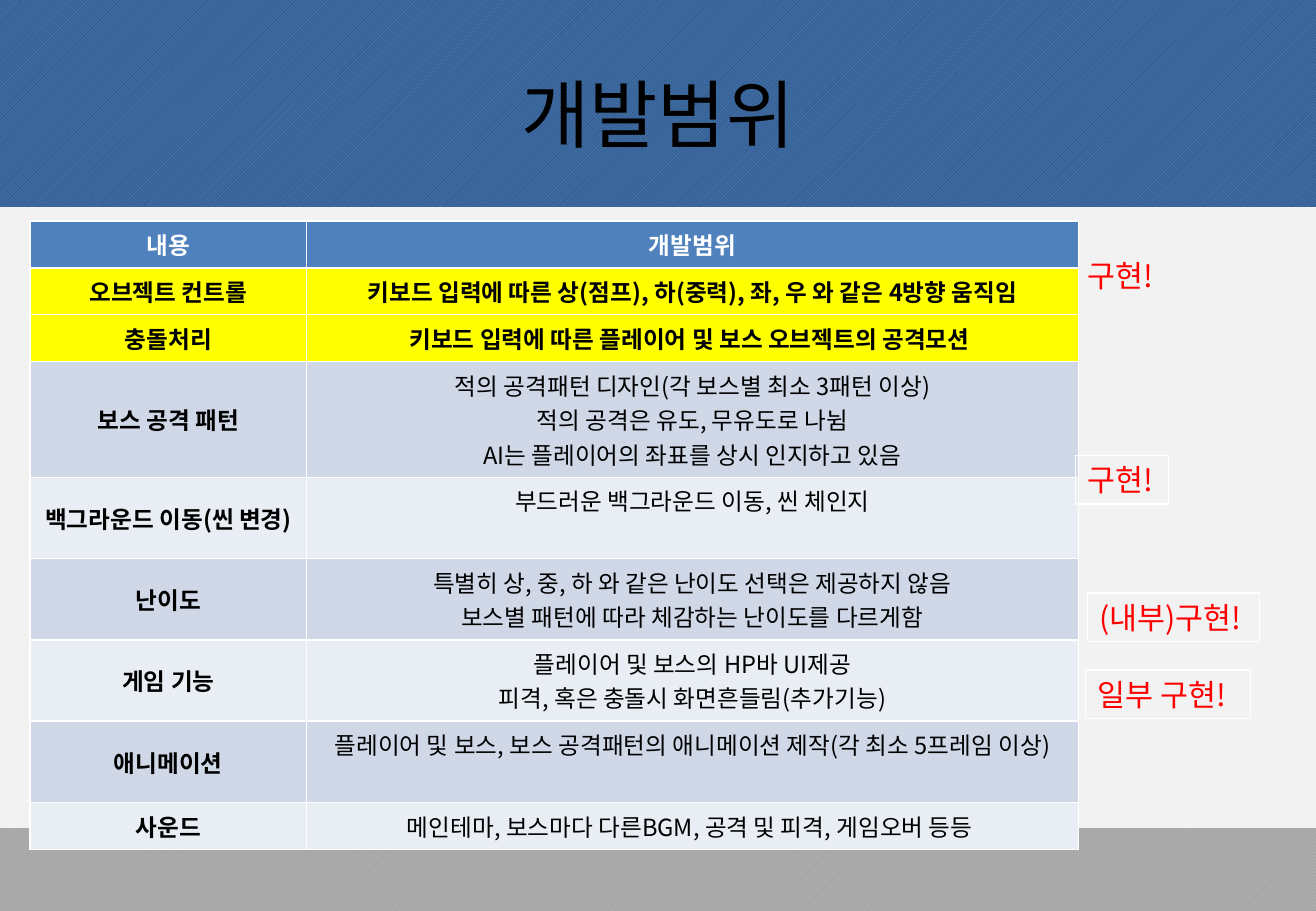
from dataclasses import dataclass

from lxml.etree import SubElement
from pptx import Presentation
from pptx.dml.color import RGBColor
from pptx.enum.dml import MSO_PATTERN
from pptx.enum.shapes import MSO_SHAPE
from pptx.enum.text import MSO_ANCHOR, PP_ALIGN
from pptx.oxml.ns import qn
from pptx.slide import Slide
from pptx.table import _Cell
from pptx.text.text import TextFrame
from pptx.util import Cm, Pt

FONT = "Noto Sans CJK KR"
BLACK = RGBColor(0x00, 0x00, 0x00)
WHITE = RGBColor(0xFF, 0xFF, 0xFF)
RED = RGBColor(0xFF, 0x00, 0x00)
YELLOW = RGBColor(0xFF, 0xFF, 0x00)
PAGE = RGBColor(0xF2, 0xF2, 0xF2)
HEADER = RGBColor(0x4F, 0x81, 0xBD)
BAND_DARK = RGBColor(0xD0, 0xD8, 0xE8)
BAND_LIGHT = RGBColor(0xE9, 0xED, 0xF4)
BLUE_STRIPE = RGBColor(0x55, 0x8E, 0xD5)
BLUE_BASE = RGBColor(0x37, 0x60, 0x92)
GREY_STRIPE = RGBColor(0xBF, 0xBF, 0xBF)
GREY_BASE = RGBColor(0xA6, 0xA6, 0xA6)
SLIDE_WIDTH, SLIDE_HEIGHT = 27.51, 19.05
ROW_PADDING, LINE_HEIGHT = 0.26, 0.72


@dataclass
class Band:
    preset: MSO_SHAPE
    top: float
    height: float
    stripe: RGBColor
    base: RGBColor


@dataclass
class ScopeRow:
    topic: str
    scope: str
    lines: int
    fill: RGBColor
    done: bool = False


@dataclass
class Note:
    text: str
    left: float
    top: float
    width: float
    outlined: bool = True


BANDS = [
    Band(MSO_SHAPE.ROUNDED_RECTANGLE, 0, 4.32, BLUE_STRIPE, BLUE_BASE),
    Band(MSO_SHAPE.RECTANGLE, 17.32, 1.73, GREY_STRIPE, GREY_BASE),
]
ROWS = [
    ScopeRow("오브젝트 컨트롤", "키보드 입력에 따른 상(점프), 하(중력), 좌, 우 와 같은 4방향 움직임", 1, YELLOW, True),
    ScopeRow("충돌처리", "키보드 입력에 따른 플레이어 및 보스 오브젝트의 공격모션 ", 1, YELLOW, True),
    ScopeRow("보스 공격 패턴", "적의 공격패턴 디자인(각 보스별 최소 3패턴 이상)\n적의 공격은 유도, 무유도로 나뉨\n"
             "AI는 플레이어의 좌표를 상시 인지하고 있음", 3, BAND_DARK),
    ScopeRow("백그라운드 이동(씬 변경)", "부드러운 백그라운드 이동, 씬 체인지", 2, BAND_LIGHT),
    ScopeRow("난이도", "특별히 상, 중, 하 와 같은 난이도 선택은 제공하지 않음\n"
             "보스별 패턴에 따라 체감하는 난이도를 다르게함", 2, BAND_DARK),
    ScopeRow("게임 기능", "플레이어 및 보스의 HP바 UI제공\n피격, 혹은 충돌시 화면흔들림(추가기능)", 2, BAND_LIGHT),
    ScopeRow("애니메이션", "플레이어 및 보스, 보스 공격패턴의 애니메이션 제작(각 최소 5프레임 이상)", 2, BAND_DARK),
    ScopeRow("사운드", "메인테마, 보스마다 다른BGM, 공격 및 피격, 게임오버 등등 ", 1, BAND_LIGHT),
]
NOTES = [
    Note("구현!", 22.48, 5.26, 2.03, outlined=False),
    Note("구현!", 22.48, 9.52, 1.95),
    Note("일부 구현!", 22.7, 14.01, 3.44),
    Note("(내부)구현!", 22.73, 12.4, 3.6),
]


def write_text(frame: TextFrame, text: str, size: float, color: RGBColor,
               align: PP_ALIGN = PP_ALIGN.CENTER, bold: bool = False) -> None:
    frame.text = text
    for paragraph in frame.paragraphs:
        paragraph.alignment = align
        font = paragraph.font
        font.name, font.size, font.bold = FONT, Pt(size), bold
        font.color.rgb = color
        # East Asian typeface
        properties = paragraph._p.pPr.find(qn("a:defRPr"))
        SubElement(properties, qn("a:ea"), typeface=FONT)


def draw_band(slide: Slide, band: Band) -> None:
    shape = slide.shapes.add_shape(band.preset, 0, Cm(band.top), Cm(SLIDE_WIDTH), Cm(band.height))
    if band.preset == MSO_SHAPE.ROUNDED_RECTANGLE:
        shape.adjustments[0] = 0
    shape.shadow.inherit = False
    shape.line.fill.background()
    shape.fill.patterned()
    shape.fill.pattern = MSO_PATTERN.DARK_UPWARD_DIAGONAL
    shape.fill.fore_color.rgb = band.stripe
    shape.fill.back_color.rgb = band.base


def draw_borders(cell: _Cell) -> None:
    properties = cell._tc.get_or_add_tcPr()
    for index, side in enumerate("LRTB"):
        line = SubElement(properties, qn(f"a:ln{side}"), w=str(Pt(1)))
        fill = SubElement(line, qn("a:solidFill"))
        SubElement(fill, qn("a:srgbClr"), val=str(WHITE))
        properties.insert(index, line)


def fill_cell(cell: _Cell, text: str, fill: RGBColor, color: RGBColor, bold: bool,
              anchor: MSO_ANCHOR = MSO_ANCHOR.TOP) -> None:
    cell.fill.solid()
    cell.fill.fore_color.rgb = fill
    cell.vertical_anchor = anchor
    write_text(cell.text_frame, text, 14, color, bold=bold)
    draw_borders(cell)


def draw_table(slide: Slide) -> None:
    heights = [ROW_PADDING + LINE_HEIGHT * lines for lines in [1] + [row.lines for row in ROWS]]
    table = slide.shapes.add_table(len(heights), 2, Cm(0.63), Cm(4.62),
                                   Cm(21.91), Cm(sum(heights))).table
    table.columns[0].width, table.columns[1].width = Cm(5.78), Cm(16.13)
    for table_row, height in zip(table.rows, heights):
        table_row.height = Cm(height)
    for column, heading in enumerate(("내용", "개발범위")):
        fill_cell(table.cell(0, column), heading, HEADER, WHITE, True)
    for index, row in enumerate(ROWS, start=1):
        fill_cell(table.cell(index, 0), row.topic, row.fill, BLACK, True, MSO_ANCHOR.MIDDLE)
        fill_cell(table.cell(index, 1), row.scope, row.fill, BLACK, row.done)


def draw_note(slide: Slide, note: Note) -> None:
    place = Cm(note.left), Cm(note.top), Cm(note.width), Cm(1.02)
    if note.outlined:
        shape = slide.shapes.add_shape(MSO_SHAPE.RECTANGLE, *place)
        shape.shadow.inherit = False
        shape.fill.background()
        shape.line.color.rgb = WHITE
        shape.line.width = Pt(0)
    else:
        shape = slide.shapes.add_textbox(*place)
    frame = shape.text_frame
    frame.word_wrap = not note.outlined
    frame.vertical_anchor = MSO_ANCHOR.TOP
    write_text(frame, note.text, 18, RED, PP_ALIGN.LEFT)


def main() -> None:
    presentation = Presentation()
    presentation.slide_width, presentation.slide_height = Cm(SLIDE_WIDTH), Cm(SLIDE_HEIGHT)
    slide = presentation.slides.add_slide(presentation.slide_layouts[6])

    # Background and bands
    slide.background.fill.solid()
    slide.background.fill.fore_color.rgb = PAGE
    for band in BANDS:
        draw_band(slide, band)

    # Title
    title = slide.shapes.add_textbox(Cm(1.37), Cm(0.76), Cm(24.77), Cm(3.18)).text_frame
    title.word_wrap = True
    title.vertical_anchor = MSO_ANCHOR.MIDDLE
    write_text(title, "개발범위", 44, BLACK)

    # Scope table and progress notes
    draw_table(slide)
    for note in NOTES:
        draw_note(slide, note)

    presentation.save("out.pptx")


if __name__ == "__main__":
    main()
